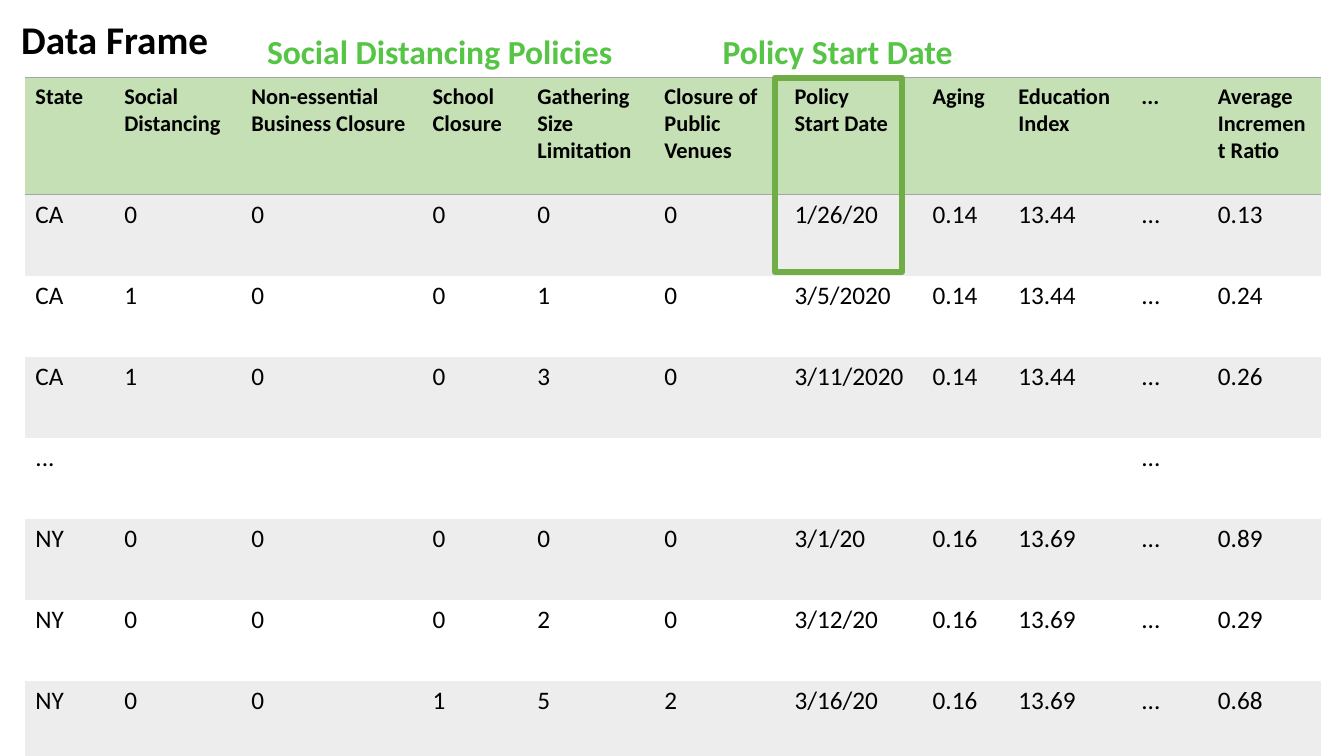
from dataclasses import dataclass

from lxml.etree import SubElement
from pptx import Presentation
from pptx.dml.color import RGBColor as RGB
from pptx.enum.shapes import MSO_SHAPE as SHAPE
from pptx.enum.text import MSO_ANCHOR as ANCHOR, MSO_AUTO_SIZE as AUTOSIZE, PP_ALIGN as ALIGN
from pptx.oxml.ns import qn
from pptx.util import Cm, Pt


@dataclass(frozen=True)
class Theme:
    font: str = "Calibri"
    black: str = "000000"
    label: str = "56C445"
    frame: str = "70AD47"
    header: str = "C5E0B4"
    band: str = "EDEDED"
    rule: str = "A5A5A5"
    title_size: int = 28
    label_size: int = 24
    header_size: int = 16
    body_size: int = 18


T = Theme()


def style(tf, size, color=T.black, bold=False):
    for p in tf.paragraphs:
        p.alignment = ALIGN.LEFT
        p.font.name, p.font.size, p.font.bold = T.font, Pt(size), bold
        p.font.color.rgb = RGB.from_string(color)


def add_rule(cell, side):
    ln = SubElement(cell._tc.get_or_add_tcPr(), qn(f"a:{side}"), w=str(Pt(1)))
    fill = SubElement(ln, qn("a:solidFill"))
    SubElement(fill, qn("a:srgbClr"), val=T.rule)


prs = Presentation()
prs.slide_width, prs.slide_height = Cm(33.87), Cm(19.05)
s = prs.slides.add_slide(prs.slide_layouts[5])

# Title
title = s.shapes.title
title.left, title.top, title.width, title.height = Cm(0.28), Cm(0.25), Cm(5.82), Cm(1.45)
tf = title.text_frame
tf.text = "Data Frame"
tf.vertical_anchor = ANCHOR.TOP
tf.auto_size = AUTOSIZE.SHAPE_TO_FIT_TEXT
style(tf, T.title_size, bold=True)

# Table of states and policies
rows = [
    ["State", "Social Distancing", "Non-essential \nBusiness Closure", "School Closure",
     "Gathering Size Limitation", "Closure of Public Venues", "Policy\nStart Date",
     "Aging", "Education Index", "...", "Average\nIncrement Ratio"],
    ["CA", "0", "0", "0", "0", "0", "1/26/20", "0.14", "13.44", "...", "0.13"],
    ["CA", "1", "0", "0", "1", "0", "3/5/2020", "0.14", "13.44", "...", "0.24"],
    ["CA", "1", "0", "0", "3", "0", "3/11/2020", "0.14", "13.44", "...", "0.26"],
    ["...", "", "", "", "", "", "", "", "", "...", ""],
    ["NY", "0", "0", "0", "0", "0", "3/1/20", "0.16", "13.69", "...", "0.89"],
    ["NY", "0", "0", "0", "2", "0", "3/12/20", "0.16", "13.69", "...", "0.29"],
    ["NY", "0", "0", "1", "5", "2", "3/16/20", "0.16", "13.69", "...", "0.68"],
]
widths = [2.24, 3.2, 4.57, 2.64, 3.2, 3.28, 3.48, 2.16, 3.1, 1.93, 2.84]
header_height, row_height = 2.95, 2.04

table = s.shapes.add_table(
    len(rows), len(widths), Cm(0.64), Cm(1.96), Cm(sum(widths)),
    Cm(header_height + row_height * (len(rows) - 1))).table
table.horz_banding = False
# "No Style, No Grid" leaves only the rules drawn below
table._tbl.tblPr.find(qn("a:tableStyleId")).text = "{2D5ABB26-0587-4C30-8999-92F81FD0307C}"

for column, width in zip(table.columns, widths):
    column.width = Cm(width)

for i, values in enumerate(rows):
    is_header = i == 0
    table.rows[i].height = Cm(header_height if is_header else row_height)
    for j, value in enumerate(values):
        cell = table.cell(i, j)
        cell.text = value
        style(cell.text_frame, T.header_size if is_header else T.body_size, bold=is_header)
        if is_header:
            add_rule(cell, "lnT")
        if is_header or i == len(rows) - 1:
            add_rule(cell, "lnB")
        if is_header or i % 2:
            cell.fill.solid()
            cell.fill.fore_color.rgb = RGB.from_string(T.header if is_header else T.band)
        else:
            cell.fill.background()

# Frame around the first policy start date
frame = s.shapes.add_shape(SHAPE.RECTANGLE, Cm(19.53), Cm(1.96), Cm(3.2), Cm(4.9))
frame.shadow.inherit = False
frame.fill.background()
frame.line.color.rgb = RGB.from_string(T.frame)
frame.line.width = Pt(4.5)

# Labels above the table
for text, left, width in [("Social Distancing Policies", 6.48, 9.3),
                          ("Policy Start Date", 17.96, 6.38)]:
    tf = s.shapes.add_textbox(Cm(left), Cm(0.66), Cm(width), Cm(1.27)).text_frame
    tf.text = text
    tf.word_wrap = False
    tf.auto_size = AUTOSIZE.SHAPE_TO_FIT_TEXT
    style(tf, T.label_size, T.label, bold=True)

prs.save("out.pptx")
